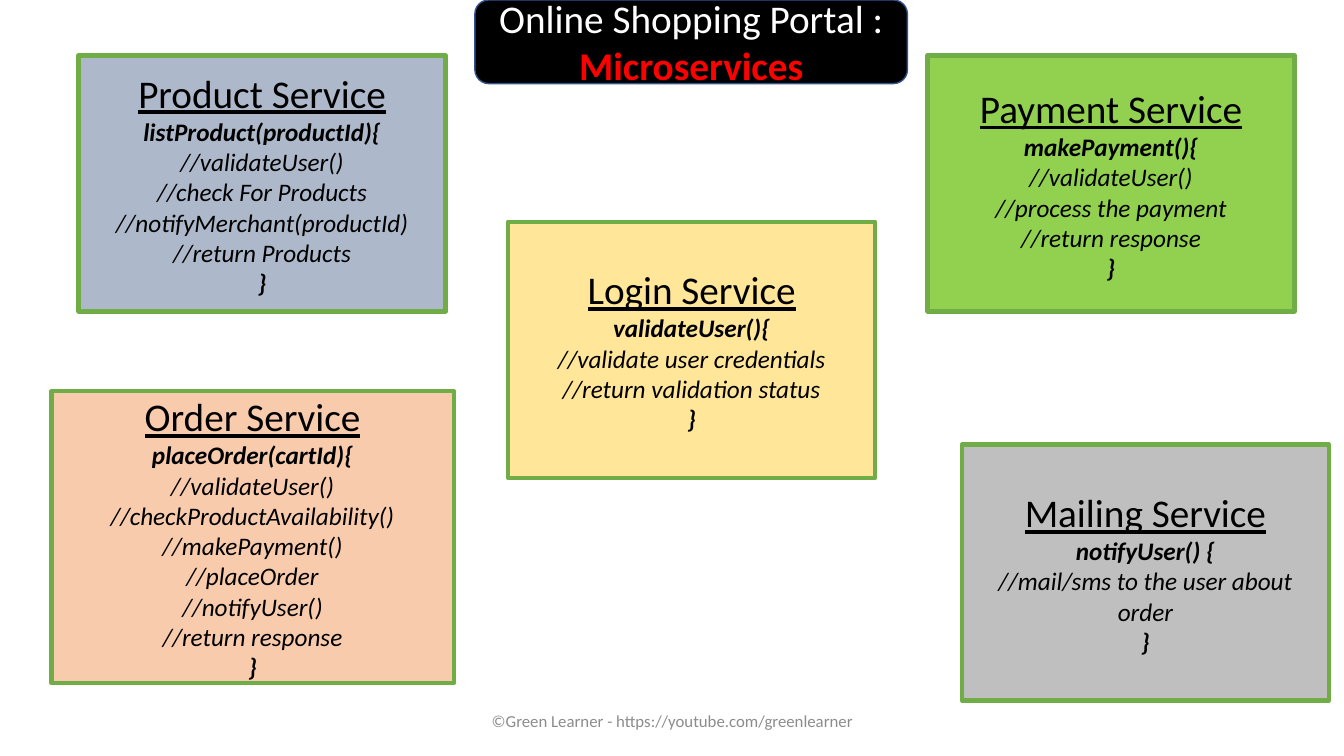
from pptx import Presentation
from pptx.dml.color import RGBColor
from pptx.enum.shapes import MSO_SHAPE
from pptx.enum.text import MSO_ANCHOR, PP_ALIGN
from pptx.util import Inches, Pt

RECTANGLE, ROUNDED = MSO_SHAPE.RECTANGLE, MSO_SHAPE.ROUNDED_RECTANGLE
MIDDLE, CENTER = MSO_ANCHOR.MIDDLE, PP_ALIGN.CENTER

SLIDE_WIDTH, SLIDE_HEIGHT = 13.33, 7.5
CARD_SIZE = (3.64, 2.54)
ORDER_SIZE = (3.99, 2.9)
TOP_ROW = 0.55
FONT = "Calibri"
HEADING_SIZE, CODE_SIZE, FOOTER_SIZE = 28, 18, 12
BLACK, CARD_BORDER = "000000", "70AD47"

TITLE = [("Online Shopping Portal : ", "FFFFFF", False),
         ("Microservices", "FF0000", True)]
TITLE_BOX = (4.71, 0, 4.29, 0.83)
FOOTER = "©Green Learner - https://youtube.com/greenlearner"
FOOTER_BOX = (4.42, 6.95, 4.5, 0.4)

SERVICES = [
    ("Product Service", (0.78, TOP_ROW), CARD_SIZE, "ADB9CA", [
        "listProduct(productId){",
        "//validateUser()\n//check For Products",
        "//notifyMerchant(productId)",
        "//return Products\n}"]),
    ("Login Service", (5.04, 2.2), CARD_SIZE, "FFE699", [
        "validateUser(){\n//validate user credentials",
        "//return validation status\n}"]),
    ("Order Service", (0.51, 3.88), ORDER_SIZE, "F8CBAD", [
        "placeOrder(cartId){",
        "//validateUser()\n//checkProductAvailability()",
        "//makePayment()",
        "//placeOrder",
        "//notifyUser()",
        "//return response\n}"]),
    ("Payment Service", (9.2, TOP_ROW), CARD_SIZE, "92D050", [
        "makePayment(){",
        "//validateUser()",
        "//process the payment",
        "//return response\n}"]),
    ("Mailing Service", (9.54, 4.41), CARD_SIZE, "BFBFBF", [
        "notifyUser() {",
        "//mail/sms to the user about order\n}"]),
]


def rgb(code):
    """Turn a hex string into a colour."""
    return RGBColor.from_string(code)


def prepare(frame):
    """Wrap and vertically centre a text frame, returning its first paragraph."""
    frame.word_wrap = True
    frame.vertical_anchor = MIDDLE
    return frame.paragraphs[0]


def style(paragraph, size):
    """Centre a paragraph and set its font and size."""
    paragraph.alignment = CENTER
    paragraph.font.name = FONT
    paragraph.font.size = Pt(size)


def add_box(slide, preset, box, fill, border, border_width):
    """Add a filled, outlined shape without a shadow."""
    shape = slide.shapes.add_shape(preset, *map(Inches, box))
    shape.shadow.inherit = False
    shape.fill.solid()
    shape.fill.fore_color.rgb = rgb(fill)
    shape.line.color.rgb = rgb(border)
    shape.line.width = Pt(border_width)
    return shape


def add_service(slide, name, corner, size, fill, code):
    """Add a service card: underlined name, then its pseudo-code."""
    frame = add_box(slide, RECTANGLE, corner + size, fill, CARD_BORDER, 3).text_frame
    heading = prepare(frame)
    heading.text = name
    style(heading, HEADING_SIZE)
    heading.font.underline = True
    heading.font.color.rgb = rgb(BLACK)
    for block in code:
        paragraph = frame.add_paragraph()
        style(paragraph, CODE_SIZE)
        paragraph.font.italic = True
        paragraph.font.color.rgb = rgb(BLACK)
        for index, line in enumerate(block.split("\n")):
            if index:
                paragraph.add_line_break()
            run = paragraph.add_run()
            run.text = line
            run.font.bold = not line.startswith("//")


def add_title(slide):
    """Add the title plate with its two-coloured text."""
    plate = add_box(slide, ROUNDED, TITLE_BOX, BLACK, "325491", 1)
    paragraph = prepare(plate.text_frame)
    style(paragraph, HEADING_SIZE)
    for words, color, bold in TITLE:
        run = paragraph.add_run()
        run.text = words
        run.font.color.rgb = rgb(color)
        run.font.bold = bold


def add_footer(slide):
    """Add the copyright line."""
    footer = slide.shapes.add_textbox(*map(Inches, FOOTER_BOX))
    paragraph = prepare(footer.text_frame)
    paragraph.text = FOOTER
    style(paragraph, FOOTER_SIZE)
    paragraph.font.color.rgb = rgb("8C8C8C")


def main():
    """Build and save the slide."""
    deck = Presentation()
    deck.slide_width, deck.slide_height = Inches(SLIDE_WIDTH), Inches(SLIDE_HEIGHT)
    slide = deck.slides.add_slide(deck.slide_layouts[6])
    add_footer(slide)
    for service in SERVICES:
        add_service(slide, *service)
    add_title(slide)
    deck.save("out.pptx")


if __name__ == "__main__":
    main()
